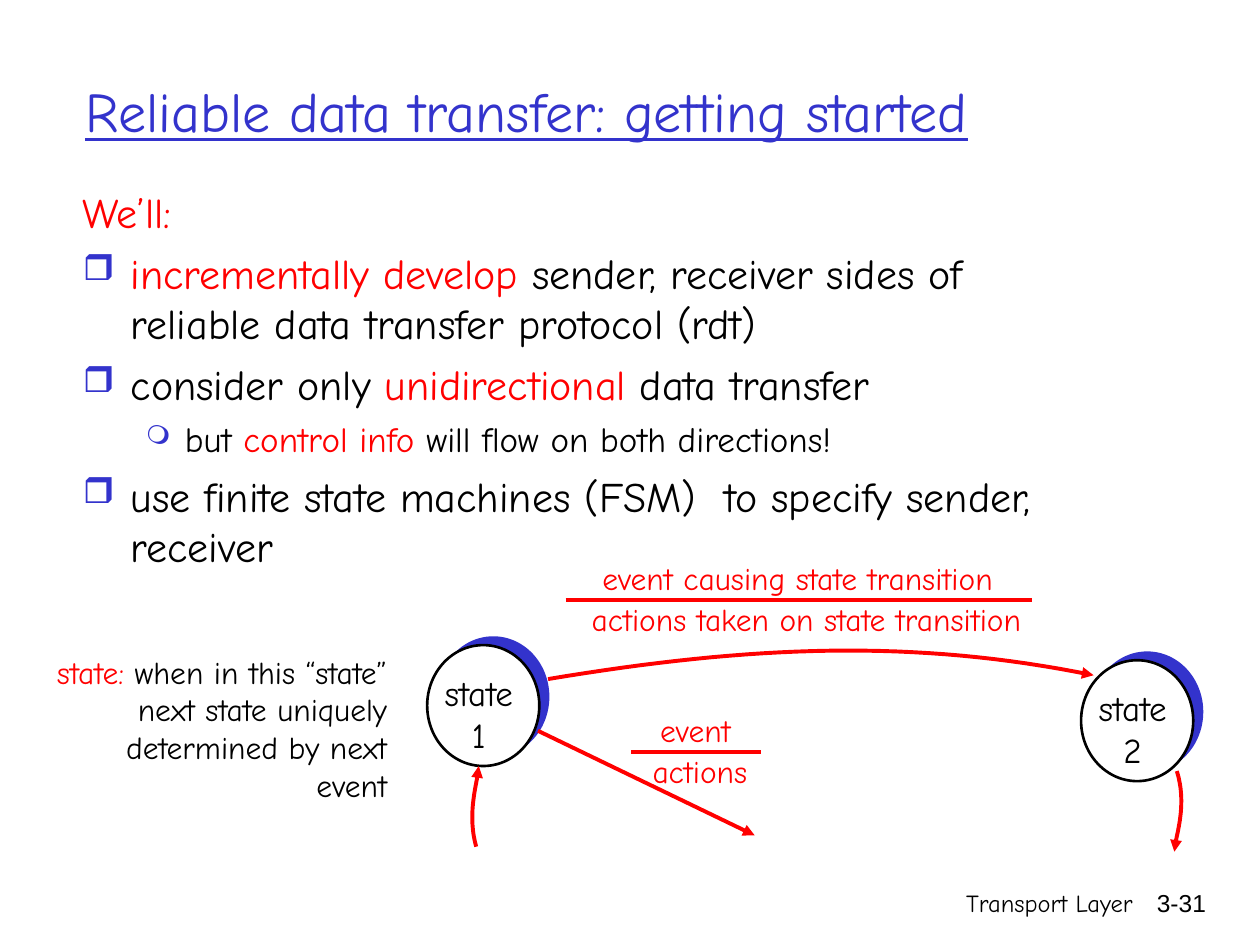
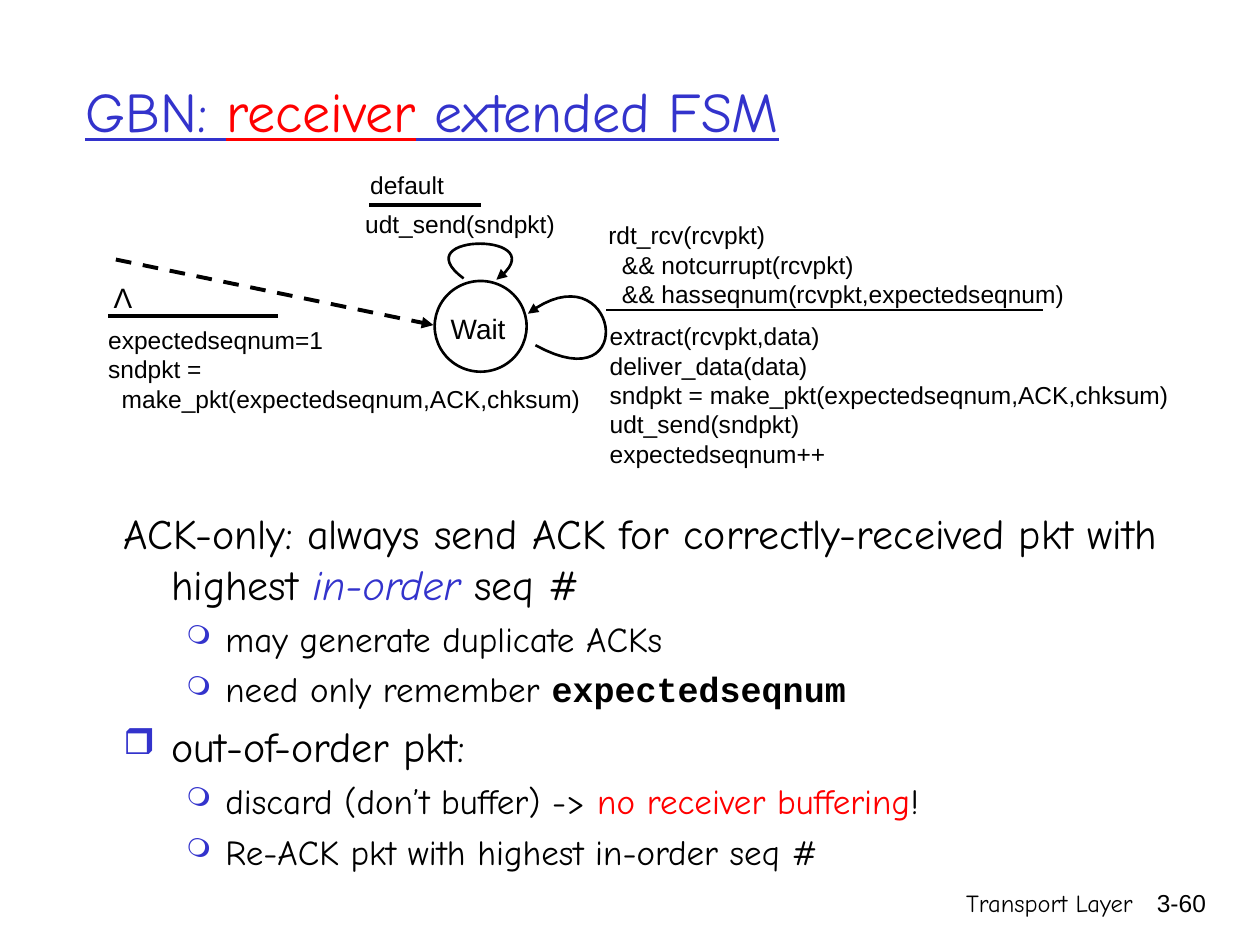
from dataclasses import dataclass

from lxml import etree
from pptx import Presentation
from pptx.dml.color import RGBColor
from pptx.enum.dml import MSO_LINE
from pptx.enum.shapes import MSO_CONNECTOR, MSO_SHAPE
from pptx.enum.text import MSO_ANCHOR, PP_ALIGN
from pptx.oxml.ns import qn
from pptx.util import Inches, Pt

LEFT, CENTER, RIGHT = PP_ALIGN.LEFT, PP_ALIGN.CENTER, PP_ALIGN.RIGHT
MIDDLE, TOP = MSO_ANCHOR.MIDDLE, MSO_ANCHOR.TOP
ELLIPSE = MSO_SHAPE.OVAL
STRAIGHT = MSO_CONNECTOR.STRAIGHT
DASH = MSO_LINE.DASH


@dataclass(frozen=True)
class Theme:
    ink: str = "000000"
    blue: str = "3333CC"
    red: str = "FF0000"
    paper: str = "FFFFFF"
    hand: str = "Comic Neue"
    plain: str = "Arial"
    mono: str = "Courier New"
    title: int = 32
    body: int = 24
    detail: int = 20
    label: int = 18
    symbol: int = 16
    code: int = 14
    thin: float = 1.5
    thick: float = 2.25


T = Theme()

TITLE = dict(size=T.title, color=T.blue, underline=True)
BODY = dict(size=T.body)
DETAIL = dict(size=T.detail)
NOTE = dict(size=T.label)
RED_LABEL = dict(size=T.label, color=T.red)
CODE = dict(size=T.code, font=T.plain)
SYMBOL = dict(size=T.symbol, font=T.plain)
FOOTER = dict(size=T.code)
RED = dict(color=T.red)

LEVELS = {
    "lead": dict(style=BODY, margin=0.38, hang=-0.38, before=6),
    "point": dict(style=BODY, margin=0.38, hang=-0.38, before=6, bullet=("❒", 85)),
    "sub": dict(style=DETAIL, margin=0.81, hang=-0.31, before=5, bullet=("❍", 75), depth=1),
}

FOOTER_TEXT = "Transport Layer"

GETTING_STARTED = {
    "title": ["Reliable data transfer: getting started"],
    "page": "3-31",
    "body_at": (0.56, 1.43, 7.94, 3.67),
    "body": [
        ("lead", [("We’ll:", RED)]),
        ("point", [("incrementally develop ", RED),
                   "sender, receiver sides of reliable data transfer protocol (rdt)"]),
        ("point", ["consider only ", ("unidirectional", RED), " data transfer"]),
        ("sub", ["but ", ("control info ", RED), "will flow on both directions!"]),
        ("point", ["use finite state machines (FSM)  to specify sender, receiver"]),
    ],
}
STATES = [("1", 3.39, 5.12), ("2", 8.58, 5.24)]
STATE_SIZE = (0.89, 0.96)
STATE_NOTE = [("state:", RED),
              " when in this “state” next state uniquely determined by next event"]
TRANSITIONS = [
    ("event causing state transition", (4.67, 4.39, 3.32, 0.4),
     "actions taken on state transition", (4.58, 4.71, 3.64, 0.4), (4.49, 8.19, 4.76)),
    ("event", (5.14, 5.59, 0.76, 0.4),
     "actions", (5.08, 5.92, 0.95, 0.4), (5.01, 6.04, 5.97)),
]
STATE_ARROWS = [
    [(4.35, 5.39), (5.97, 5.12), (7.26, 5.07), (8.68, 5.36)],
    [(3.78, 6.72), (3.7, 6.44), (3.8, 6.18), (3.8, 6.08)],
    [(9.34, 6.12), (9.43, 6.41), (9.32, 6.66), (9.32, 6.76)],
]
OTHER_EXIT = ((4.27, 5.8), (5.99, 6.63))

GBN_RECEIVER = {
    "title": ["GBN: ", ("receiver", RED), " extended FSM"],
    "page": "3-60",
    "body_at": (0.88, 3.98, 8.91, 3.12),
    "body": [
        ("lead", ["ACK-only: always send ACK for correctly-received pkt with highest ",
                  ("in-order", dict(color=T.blue, italic=True)), " seq #"]),
        ("sub", ["may generate duplicate ACKs"]),
        ("sub", ["need only remember ", ("expectedseqnum", dict(font=T.mono, bold=True))]),
        ("point", ["out-of-order pkt:"]),
        ("sub", ["discard (don’t buffer) -> ", ("no receiver buffering", RED), "!"]),
        ("sub", ["Re-ACK pkt with highest in-order seq #"]),
    ],
}
WAIT_STATE = (3.45, 2.23, 0.73, 0.72)
FSM_CODE = [
    ((2.84, 1.3, 0.9, 0.27), ["default"]),
    ((2.8, 1.61, 1.77, 0.34), ["udt_send(sndpkt)"]),
    ((4.73, 1.7, 3.9, 0.62), ["rdt_rcv(rcvpkt)", "  && notcurrupt(rcvpkt)",
                              "  && hasseqnum(rcvpkt,expectedseqnum)"]),
    ((4.74, 2.5, 4.72, 0.94), ["extract(rcvpkt,data)", "deliver_data(data)",
                               "sndpkt = make_pkt(expectedseqnum,ACK,chksum)",
                               "udt_send(sndpkt)", "expectedseqnum++"]),
    ((0.76, 2.53, 3.98, 1.07), ["expectedseqnum=1", "sndpkt =",
                                "  make_pkt(expectedseqnum,ACK,chksum)"]),
]
FSM_RULES = [(2.93, 3.82, 1.63, T.thick), (4.81, 8.28, 2.46, T.thin),
             (0.86, 2.21, 2.51, T.thick)]
FSM_LOOPS = [
    [(4.25, 2.74), (5.1, 3.21), (4.9, 1.95), (4.19, 2.49)],
    [(3.68, 2.21), (3.18, 1.84), (4.45, 1.84), (3.94, 2.22)],
]
FSM_START = ((0.92, 2.06), (3.44, 2.58))


def rgb(color):
    return RGBColor.from_string(color)


def add_run(paragraph, text, size, color=T.ink, font=T.hand,
            bold=False, italic=False, underline=False):
    run = paragraph.add_run()
    run.text = text
    face = run.font
    face.size, face.name = Pt(size), font
    face.bold, face.italic, face.underline = bold, italic, underline
    face.color.rgb = rgb(color)


def add_runs(paragraph, runs, style):
    for run in runs:
        text, change = (run, {}) if isinstance(run, str) else run
        add_run(paragraph, text, **{**style, **change})


def set_indent(paragraph, margin, hang):
    props = paragraph._p.get_or_add_pPr()
    props.set("marL", str(Inches(margin)))
    props.set("indent", str(Inches(hang)))
    return props


def add_bullet(props, mark, percent):
    color = etree.SubElement(props, qn("a:buClr"))
    etree.SubElement(color, qn("a:srgbClr")).set("val", T.blue)
    etree.SubElement(props, qn("a:buSzPct")).set("val", str(percent * 1000))
    etree.SubElement(props, qn("a:buChar")).set("char", mark)


def text_frame(slide, at, wrap=True, anchor=TOP):
    frame = slide.shapes.add_textbox(*map(Inches, at)).text_frame
    frame.word_wrap, frame.vertical_anchor = wrap, anchor
    return frame


def paragraphs(frame, items):
    for i, item in enumerate(items):
        yield (frame.add_paragraph() if i else frame.paragraphs[0]), item


def add_text(slide, at, lines, style, align=LEFT, wrap=True, anchor=TOP):
    frame = text_frame(slide, at, wrap, anchor)
    for paragraph, runs in paragraphs(frame, lines):
        paragraph.alignment = align
        add_runs(paragraph, runs, style)
    return frame


def add_body(slide, at, items):
    frame = text_frame(slide, at)
    for i, (paragraph, (kind, runs)) in enumerate(paragraphs(frame, items)):
        level = LEVELS[kind]
        paragraph.level = level.get("depth", 0)
        paragraph.space_before = Pt(level["before"] if i else 0)
        props = set_indent(paragraph, level["margin"], level["hang"])
        if "bullet" in level:
            add_bullet(props, *level["bullet"])
        add_runs(paragraph, runs, level["style"])


def style_line(line, color, width, arrow=False):
    line.color.rgb, line.width = rgb(color), Pt(width)
    if arrow:
        etree.SubElement(line._get_or_add_ln(), qn("a:tailEnd")).set("type", "triangle")


def add_line(slide, start, end, color, width, arrow=False, dash=None):
    connector = slide.shapes.add_connector(STRAIGHT, *map(Inches, start + end))
    if dash:
        connector.line.dash_style = dash
    style_line(connector.line, color, width, arrow)
    etree.SubElement(connector._element.spPr, qn("a:effectLst"))


def add_rule(slide, left, right, y, color, width):
    add_line(slide, (left, y), (right, y), color, width)


def bezier(controls, steps=32):
    for step in range(steps + 1):
        t = step / steps
        weights = ((1 - t) ** 3, 3 * t * (1 - t) ** 2, 3 * t * t * (1 - t), t ** 3)
        yield tuple(Inches(sum(w * c[axis] for w, c in zip(weights, controls)))
                    for axis in (0, 1))


def add_curved_arrow(slide, controls, color, width):
    first, *rest = bezier(controls)
    builder = slide.shapes.build_freeform(*first)
    builder.add_line_segments(rest, close=False)
    curve = builder.convert_to_shape()
    curve.shadow.inherit = False
    curve.fill.background()
    style_line(curve.line, color, width, arrow=True)


def add_circle(slide, at, fill, outlined=True):
    circle = slide.shapes.add_shape(ELLIPSE, *map(Inches, at))
    circle.shadow.inherit = False
    circle.fill.solid()
    circle.fill.fore_color.rgb = rgb(fill)
    if outlined:
        style_line(circle.line, T.ink, T.thin)
    else:
        circle.line.fill.background()


def add_state(slide, number, x, y):
    add_circle(slide, (x + 0.08, y - 0.07, *STATE_SIZE), T.blue, outlined=False)
    add_circle(slide, (x, y, *STATE_SIZE), T.paper)
    add_text(slide, (x + 0.03, y + 0.16, 0.76, 0.77), [["state"], [number]],
             DETAIL, CENTER, wrap=False)


def add_slide(deck, content):
    slide = deck.slides.add_slide(deck.slide_layouts[6])
    add_text(slide, (5.92, 7, 3.17, 0.5), [[FOOTER_TEXT]], FOOTER, RIGHT)
    add_text(slide, (8.93, 7, 0.74, 0.5), [[content["page"]]], CODE, RIGHT)
    add_text(slide, (0.58, 0.25, 8.5, 1.25), [content["title"]], TITLE, anchor=MIDDLE)
    add_body(slide, content["body_at"], content["body"])
    return slide


def build_getting_started(deck):
    slide = add_slide(deck, GETTING_STARTED)
    for state in STATES:
        add_state(slide, *state)
    for event, event_at, actions, actions_at, rule in TRANSITIONS:
        add_text(slide, event_at, [[event]], RED_LABEL, CENTER, wrap=False)
        add_text(slide, actions_at, [[actions]], RED_LABEL, CENTER, wrap=False)
        add_rule(slide, *rule, T.red, T.thick)
    note = add_text(slide, (0.14, 5.13, 3.03, 1.35), [STATE_NOTE], NOTE, RIGHT)
    set_indent(note.paragraphs[0], 0.38, -0.38)
    for controls in STATE_ARROWS:
        add_curved_arrow(slide, controls, T.red, T.thick)
    add_line(slide, *OTHER_EXIT, T.red, T.thick, arrow=True)


def build_gbn_receiver(deck):
    slide = add_slide(deck, GBN_RECEIVER)
    add_circle(slide, WAIT_STATE, T.paper)
    add_text(slide, (3.36, 2.42, 0.87, 0.26), [["Wait"]], SYMBOL, CENTER)
    add_text(slide, (0.8, 2.18, 0.35, 0.37), [["Λ"]], SYMBOL, CENTER, wrap=False)
    for at, lines in FSM_CODE:
        add_text(slide, at, [[line] for line in lines], CODE)
    for rule in FSM_RULES:
        left, right, y, width = rule
        add_rule(slide, left, right, y, T.ink, width)
    for controls in FSM_LOOPS:
        add_curved_arrow(slide, controls, T.ink, T.thin)
    add_line(slide, *FSM_START, T.ink, T.thick, arrow=True, dash=DASH)


def main():
    deck = Presentation()
    deck.slide_width, deck.slide_height = Inches(10), Inches(7.5)
    build_getting_started(deck)
    build_gbn_receiver(deck)
    deck.save("out.pptx")


if __name__ == "__main__":
    main()
